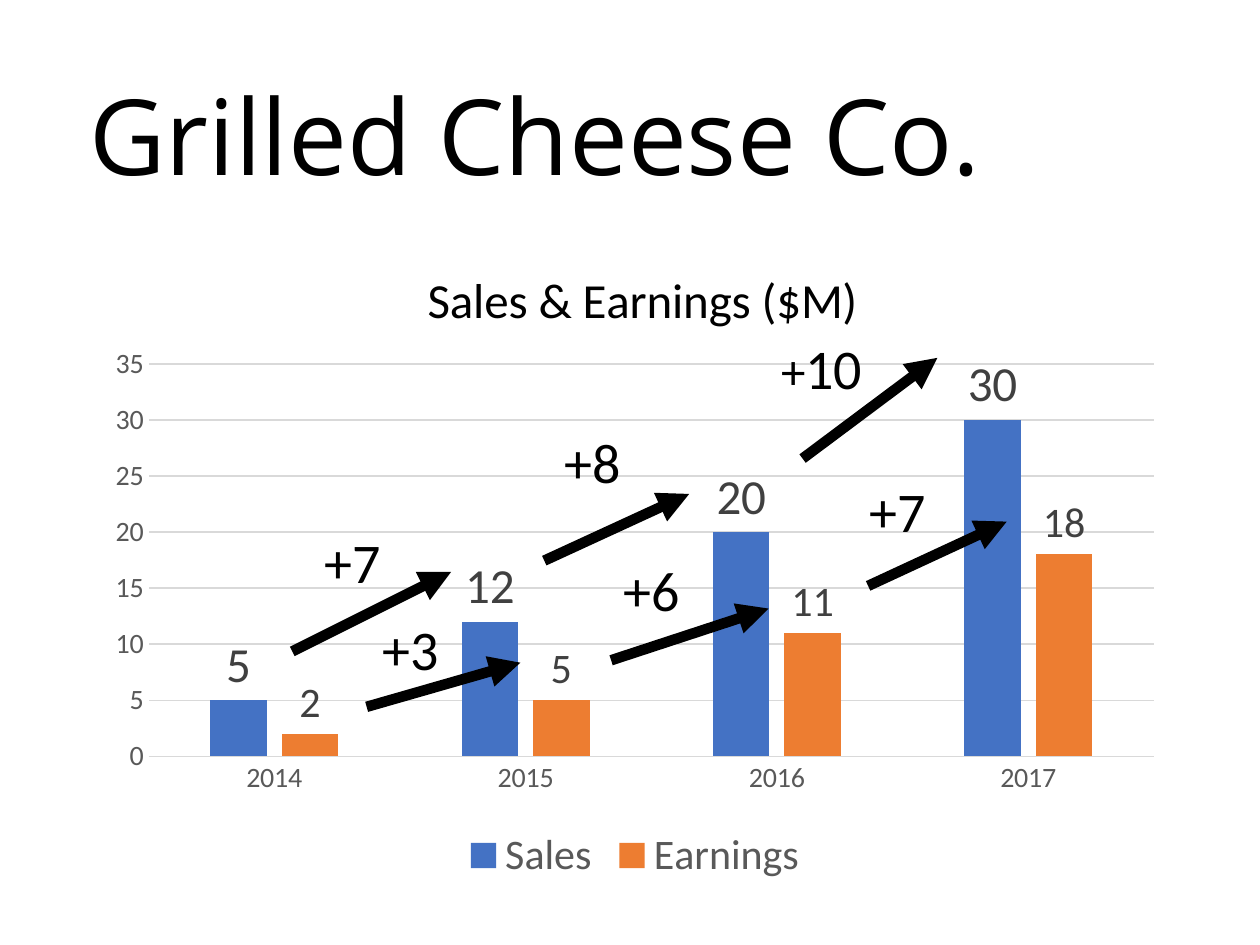
"""Build the Grilled Cheese Co. sales and earnings slide."""
import pptx
import pptx.chart.data
import pptx.dml.color
import pptx.enum.chart
import pptx.enum.shapes
import pptx.enum.text
import pptx.oxml
import pptx.oxml.ns
import pptx.util

WIDE, HIGH = pptx.util.Inches(10), pptx.util.Inches(7.5)
FONT, HEAD = "Calibri", "Open Sans"
COLORS = {"ink": "000000", "axis": "595959", "grid": "D9D9D9",
          "label": "404040", "Sales": "4472C4", "Earnings": "ED7D31"}
YEARS = ["2014", "2015", "2016", "2017"]
SERIES = [("Sales", [5, 12, 20, 30], 28), ("Earnings", [2, 5, 11, 18], 24)]
STEPS = [
    ((23.2, 68.93, 35.8, 60.53), (24.8, 55.2, 6.5), [("+7", 32)]),
    ((43.2, 59.33, 54.7, 52.27), (43.8, 44.53, 6.5), [("+8", 32)]),
    ((63.7, 48.53, 74.4, 37.87), (61, 34.67, 8.5), [("+", 28), ("10", 32)]),
    ((48.5, 69.87, 61, 64.4), (48.5, 58.13, 7.1), [("+6", 32)]),
    ((68.9, 62, 79.9, 55.2), (68, 49.73, 8.5), [("+7", 32)]),
    ((29.1, 74.8, 41.3, 70.13), (29.4, 64.4, 7.7), [("+3", 32)]),
]


def share(x, y, *more):
    """Turn percent pairs of the slide's size into lengths."""
    return [int(n * (HIGH if i % 2 else WIDE) / 100)
            for i, n in enumerate((x, y) + more)]


def rgb(name):
    """Look up a colour by name."""
    return pptx.dml.color.RGBColor.from_string(COLORS[name])


def style(font, size, color, face=FONT):
    """Set size, colour and face of a font."""
    font.size, font.name, font.bold = pptx.util.Pt(size), face, False
    font.color.rgb = rgb(color)


def write(para, runs, face=FONT):
    """Add runs of text to a paragraph."""
    for text, size in runs:
        run = para.add_run()
        run.text = text
        style(run.font, size, "ink", face)


def place(node, inner=False, **spots):
    """Give a chart part a manual layout in shares of the chart."""
    tag = pptx.oxml.ns.qn
    for old in node.findall(tag("c:layout")):
        node.remove(old)
    body = '<c:layoutTarget val="inner"/>' if inner else ""
    body += "".join(f'<c:{k}Mode val="edge"/>' for k in "xy")
    body += "".join(f'<c:{k} val="{v}"/>' for k, v in spots.items())
    layout = pptx.oxml.parse_xml(
        f'<c:layout {pptx.oxml.ns.nsdecls("c")}>'
        f'<c:manualLayout>{body}</c:manualLayout></c:layout>')
    text = node.find(tag("c:tx"))
    node.insert(0 if text is None else 1, layout)


def add_title(slide):
    """Fill the title placeholder."""
    title = slide.shapes.title
    title.left, title.top, title.width, title.height = share(0, 0.13, 85, 21.47)
    frame = title.text_frame
    frame.vertical_anchor = pptx.enum.text.MSO_ANCHOR.BOTTOM
    para = frame.paragraphs[0]
    para.alignment = pptx.enum.text.PP_ALIGN.CENTER
    para.line_spacing = 0.9
    write(para, [("Grilled Cheese Co.", 60)], HEAD)


def set_axis(axis, line):
    """Style one chart axis."""
    axis.major_tick_mark = pptx.enum.chart.XL_TICK_MARK.NONE
    axis.minor_tick_mark = pptx.enum.chart.XL_TICK_MARK.NONE
    style(axis.tick_labels.font, 16, "axis")
    if line:
        set_line(axis.format.line)
    else:
        axis.format.line.fill.background()


def set_line(line):
    """Make a thin grid line."""
    line.color.rgb, line.width = rgb("grid"), pptx.util.Pt(0.75)


def set_bars(bars, size):
    """Colour one series and label its values."""
    bars.format.fill.solid()
    bars.format.fill.fore_color.rgb = rgb(bars.name)
    bars.invert_if_negative = False
    tags = bars.data_labels
    tags.show_value = True
    tags.position = pptx.enum.chart.XL_LABEL_POSITION.OUTSIDE_END
    style(tags.font, size, "label")


def add_chart(slide):
    """Draw the clustered columns."""
    data = pptx.chart.data.CategoryChartData()
    data.categories = YEARS
    for name, vals, _ in SERIES:
        data.add_series(name, vals)
    kind = pptx.enum.chart.XL_CHART_TYPE.COLUMN_CLUSTERED
    chart = slide.shapes.add_chart(
        kind, *share(7.5, 23.73, 85.8, 70.4), data).chart
    style(chart.font, 10, "ink")
    chart.has_title = True
    write(chart.chart_title.text_frame.paragraphs[0],
          [("Sales & Earnings ($M)", 28)])
    place(chart.chart_title._element, x=0.3, y=0.05)
    place(chart.plots[0]._element.getparent(), True,
          x=0.05, y=0.21, w=0.93, h=0.59)
    chart.has_legend = True
    chart.legend.position = pptx.enum.chart.XL_LEGEND_POSITION.BOTTOM
    chart.legend.include_in_layout = False
    style(chart.legend.font, 24, "axis")
    set_axis(chart.category_axis, True)
    axis = chart.value_axis
    set_axis(axis, False)
    axis.minimum_scale, axis.maximum_scale, axis.major_unit = 0, 35, 5
    axis.has_major_gridlines = True
    set_line(axis.major_gridlines.format.line)
    plot = chart.plots[0]
    plot.gap_width, plot.overlap = 219, -27
    plot.vary_by_categories = False
    for bars, (_, _, size) in zip(plot.series, SERIES):
        set_bars(bars, size)


def add_arrow(slide, ends):
    """Draw a thick arrow between two points."""
    kind = pptx.enum.shapes.MSO_CONNECTOR.STRAIGHT
    arrow = slide.shapes.add_connector(kind, *share(*ends))
    arrow.line.color.rgb, arrow.line.width = rgb("ink"), pptx.util.Pt(6)
    space = pptx.oxml.ns.nsdecls("a")
    arrow.line._get_or_add_ln().append(
        pptx.oxml.parse_xml(f'<a:tailEnd {space} type="triangle"/>'))
    arrow._element.spPr.append(pptx.oxml.parse_xml(f"<a:effectLst {space}/>"))


def add_label(slide, spot, runs):
    """Write the growth beside an arrow."""
    box = slide.shapes.add_textbox(*share(*spot, 8.53))
    box.text_frame.word_wrap = False
    box.text_frame.auto_size = pptx.enum.text.MSO_AUTO_SIZE.SHAPE_TO_FIT_TEXT
    write(box.text_frame.paragraphs[0], runs)


def main():
    """Build and save the slide."""
    deck = pptx.Presentation()
    deck.slide_width, deck.slide_height = WIDE, HIGH
    slide = deck.slides.add_slide(deck.slide_layouts.get_by_name("Title Only"))
    add_title(slide)
    add_chart(slide)
    for ends, spot, runs in STEPS:
        add_arrow(slide, ends)
        add_label(slide, spot, runs)
    deck.save("out.pptx")


main()
